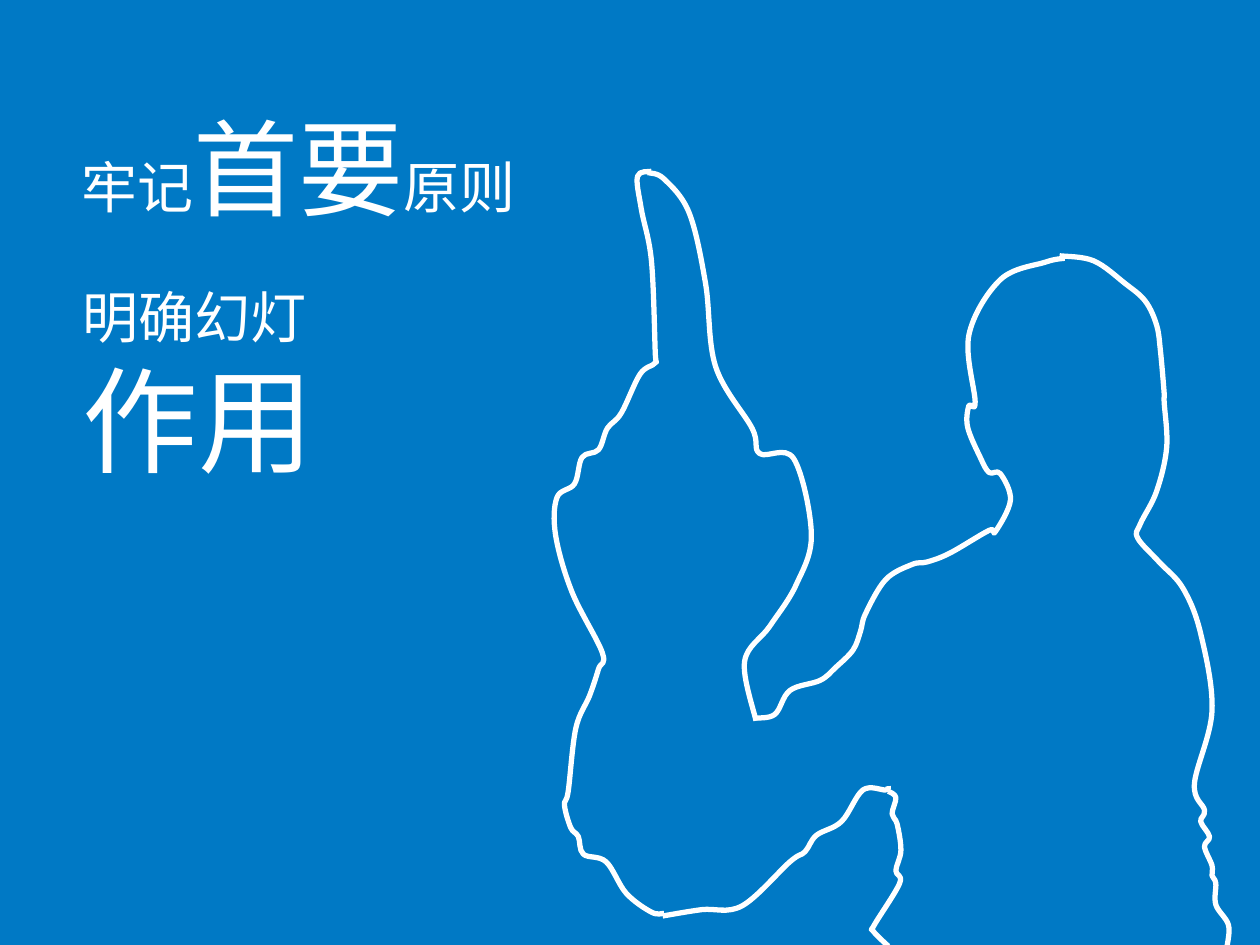
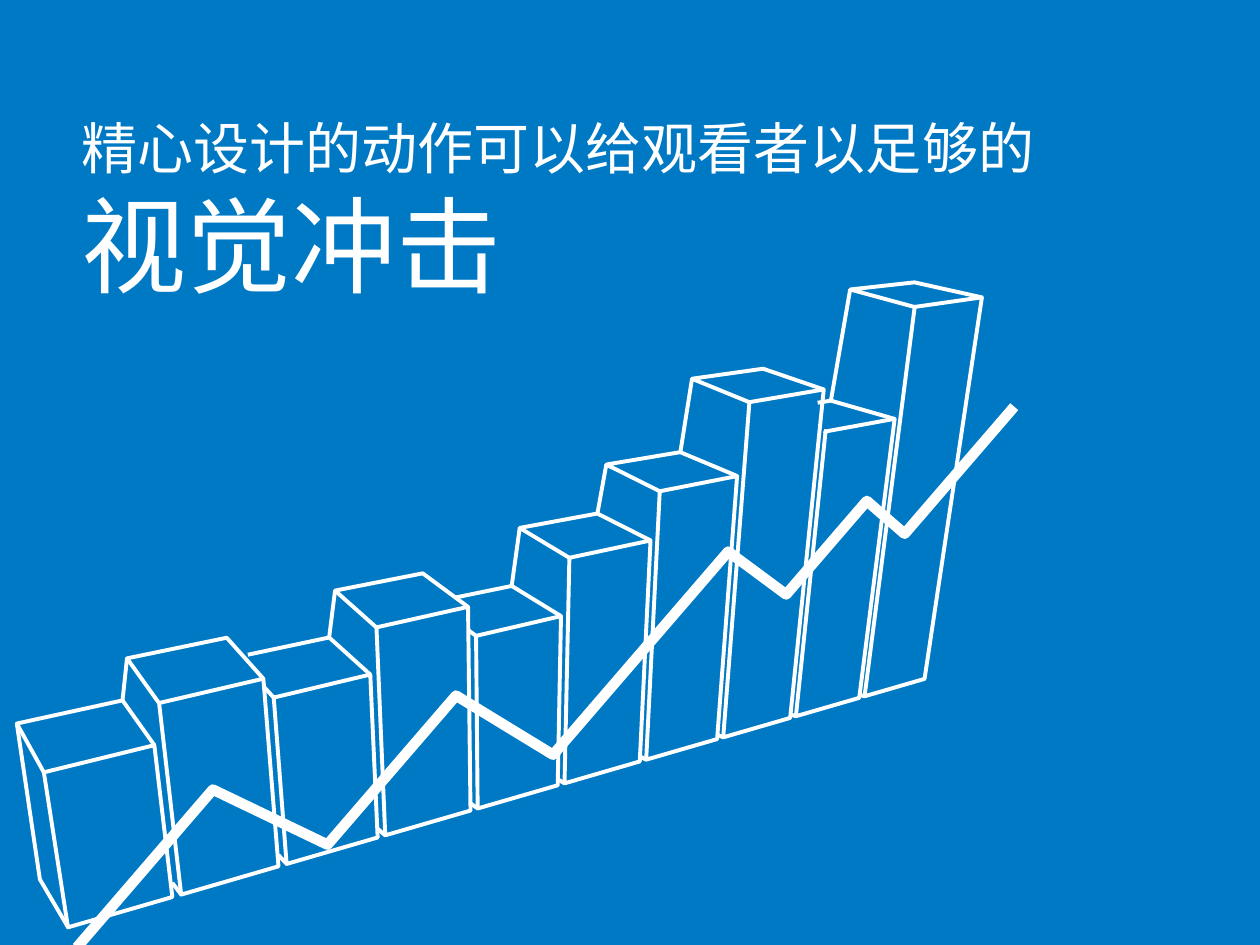
from dataclasses import dataclass

from lxml import etree
from pptx import Presentation
from pptx.dml.color import RGBColor
from pptx.enum.text import MSO_AUTO_SIZE
from pptx.oxml.ns import qn
from pptx.util import Inches, Pt

GROW = MSO_AUTO_SIZE.SHAPE_TO_FIT_TEXT


@dataclass(frozen=True)
class Theme:
    """Colours, type sizes and line widths of the deck."""
    back: RGBColor = RGBColor(0x00, 0x79, 0xC5)
    ink: RGBColor = RGBColor(0xFF, 0xFF, 0xFF)
    face: str = "Noto Sans CJK SC"
    small: int = 32
    large: int = 60
    huge: int = 66
    thin: float = 2.25
    mid: float = 3
    thick: float = 6


@dataclass(frozen=True)
class Box:
    """A region of the slide, in inches."""
    left: float
    top: float
    width: float
    height: float


@dataclass(frozen=True)
class Bar:
    """The corners of one bar as they appear in perspective."""
    foot: tuple
    toe: tuple
    left: tuple
    right: tuple
    rear: tuple
    inner: tuple


THEME = Theme()
PAGE = Box(0, 0, 10, 7.5)
BODY = Box(4, 1, 6, 6.5)

HEAD = [(4.41, 1.03), (4.68, 1.07), (4.93, 1.25), (5.09, 1.39),
        (5.18, 1.58), (5.21, 1.78), (5.24, 2.12), (5.24, 2.19)]
NAPE = [(5.26, 2.55), (5.18, 2.9), (5.05, 3.16), (5.03, 3.27)]
SPINE = [(5.2, 3.46), (5.39, 3.67), (5.53, 4.03), (5.62, 4.64), (5.48, 5.22)]
FOLDS = [(5.56, 5.43), (5.53, 5.52), (5.6, 5.64), (5.56, 5.72), (5.62, 5.87),
         (5.62, 5.95), (5.65, 6.01), (5.65, 6.18), (5.75, 6.34), (5.74, 6.51)]
BROW = [(4.45, 1.05), (4.3, 1.08), (3.94, 1.22), (3.69, 1.66), (3.74, 2.19)]
JAW = [(3.69, 2.22), (3.68, 2.39), (3.78, 2.63), (3.85, 2.75), (3.94, 2.76),
       (4.02, 2.97), (3.9, 3.22)]
SLEEVE = [(3.85, 3.21), (3.54, 3.39), (3.36, 3.46), (3.24, 3.48),
          (3.03, 3.6), (2.87, 3.87), (2.83, 4.01), (2.77, 4.16)]
CUFF = [(2.63, 4.3), (2.51, 4.4), (2.27, 4.48), (2.15, 4.67), (1.99, 4.7)]
PALM = [(2, 4.72), (1.91, 4.25), (2.11, 3.97), (2.32, 3.64), (2.44, 3.24),
        (2.3, 2.64), (2.03, 2.6)]
FINGER = [(1.97, 2.4), (1.68, 1.91), (1.6, 1.25), (1.47, 0.69),
          (1.27, 0.42), (1.14, 0.37)]
TIP = [(1.17, 0.36), (1.06, 0.4), (1.09, 0.66), (1.17, 1.07), (1.2, 1.79)]
FIST = [(1.2, 1.88), (1.08, 1.97), (0.93, 2.28), (0.82, 2.4), (0.75, 2.57),
        (0.62, 2.63), (0.56, 2.84), (0.42, 2.95), (0.41, 3.25)]
WRIST = [(0.54, 3.7), (0.78, 4.18), (0.75, 4.31), (0.68, 4.52),
         (0.57, 4.78), (0.51, 5.28)]
ELBOW = [(0.48, 5.39), (0.53, 5.57), (0.59, 5.64), (0.63, 5.78),
         (0.81, 5.84), (0.97, 6.09), (1.17, 6.24), (1.27, 6.25)]
ARM = [(1.26, 6.27), (1.57, 6.22), (1.89, 6.19), (2.27, 5.84), (2.39, 5.76),
       (2.48, 5.63), (2.68, 5.52), (2.85, 5.27), (3.03, 5.27), (3.05, 5.24)]
CHEST = [(3.05, 5.28), (3.11, 5.33), (3.08, 5.46), (3.12, 5.54), (3.15, 5.75),
         (3.11, 5.91), (3.14, 6.01), (2.94, 6.34), (2.93, 6.39), (3.05, 6.51)]
STROKES = [HEAD + NAPE + SPINE + FOLDS, BROW + JAW + SLEEVE + CUFF,
           PALM + FINGER, TIP + FIST + WRIST + ELBOW, ARM, CHEST]

RISES = [1.23, 1.52, 1.32, 1.65, 1.37, 1.79, 2.13, 2.66, 2.26, 3.09]
HIDDEN = {2: 0.12, 4: 0.31, 8: 0.8}
BASE = (0.54, 7.36)
BASE_SLOPE = -0.29
BAR_SHARE = 0.92
RIGHT_SHARE = 0.98
MIDDLE = 4
CLIMBS = [1.08, 1.02, 1.39, 0.64, 0.87]
DROPS = [0.91, 0.77, 0.46, 0.3]


def blend(a, b, share):
    """Return the point at a share of the way from a to b."""
    return tuple(p + (q - p) * share for p, q in zip(a, b))


def ground(place):
    """Return the base point of a bar number, closer together further back."""
    run = 0.93 * place / (1 + 0.036 * place)
    return BASE[0] + run, BASE[1] + BASE_SLOPE * run


def lift(point, rise):
    """Raise a base point, leaning away from the middle of the chart."""
    x, y = point
    return x + 0.045 * (x - MIDDLE) * rise, y - rise


def recede(point, share=1):
    """Move a point back by a share of the bar depth seen at its place."""
    x, y = point
    return x - (0.2 + 0.043 * x) * share, y - (0.4 - 0.036 * x) * share


def nook(point, wall):
    """Return the line that runs back from a point to the wall beside it."""
    gap = point[0] - wall[0]
    return [point, recede(point, gap / (point[0] - recede(point)[0]))]


def model(place, rise):
    """Work out the corners of one bar."""
    foot, toe = ground(place), ground(place + BAR_SHARE)
    left, right = lift(foot, rise), lift(toe, rise * RIGHT_SHARE)
    return Bar(foot, toe, left, right, recede(right), recede(left))


def zigzag(start):
    """Return the trend points: even climbs, with drops that grow steeper."""
    points = [start]
    for i, climb in enumerate(CLIMBS):
        x, y = points[-1]
        points.append((x + climb, y - 1.16 * climb))
        if i < len(DROPS):
            x, y = points[-1]
            points.append((x + DROPS[i], y + (0.48 + 0.13 * i) * DROPS[i]))
    return points


def trace(slide, box, points, width, close=False):
    """Draw an unfilled outline through points offset by the box."""
    spots = [(Inches(box.left + x), Inches(box.top + y)) for x, y in points]
    pen = slide.shapes.build_freeform(*spots[0], scale=1.0)
    pen.add_line_segments(spots[1:], close=close)
    shape = pen.convert_to_shape()
    shape.shadow.inherit = False
    shape.fill.background()
    shape.line.color.rgb = THEME.ink
    shape.line.width = Pt(width)
    return shape


def ease(knots):
    """Put two control points between knots, parallel to their neighbours."""
    ends = [knots[0], *knots, knots[-1]]
    points = [knots[0]]
    for a, b, c, d in zip(ends, ends[1:], ends[2:], ends[3:]):
        points += [(b[0] + (c[0] - a[0]) / 6, b[1] + (c[1] - a[1]) / 6),
                   (c[0] - (d[0] - b[0]) / 6, c[1] - (d[1] - b[1]) / 6), c]
    return points


def curve(slide, box, knots, width):
    """Draw a smooth curve by joining each three segments into a Bezier."""
    shape = trace(slide, box, ease(knots), width)
    track = next(shape.element.iter(qn("a:path")))
    steps = track.findall(qn("a:lnTo"))
    for i in range(0, len(steps), 3):
        bend = etree.SubElement(track, qn("a:cubicBezTo"))
        for step in steps[i:i + 3]:
            bend.append(step[0])
            track.remove(step)


def write(para, text, size=THEME.small, color=THEME.ink, face=THEME.face):
    """Add a run with its size, colour and typeface."""
    run = para.add_run()
    run.text = text
    run.font.size = Pt(size)
    run.font.color.rgb = color
    run.font.name = face


def title(slide, box, *lines):
    """Place a text box with one paragraph for each list of runs."""
    shape = slide.shapes.add_textbox(
        Inches(box.left), Inches(box.top),
        Inches(box.width), Inches(box.height))
    frame = shape.text_frame
    frame.word_wrap = True
    frame.auto_size = GROW
    for i, line in enumerate(lines):
        para = frame.add_paragraph() if i else frame.paragraphs[0]
        for text, size in line:
            write(para, text, size=size)
    for props in shape.element.iter(qn("a:rPr")):
        etree.SubElement(props, qn("a:ea")).set("typeface", THEME.face)


def start(deck):
    """Add a blank slide with the shared background."""
    slide = deck.slides.add_slide(deck.slide_layouts[6])
    slide.background.fill.solid()
    slide.background.fill.fore_color.rgb = THEME.back
    return slide


def person(slide, box):
    """Draw the outline of a person with a raised finger."""
    for knots in STROKES:
        curve(slide, box, knots, THEME.mid)


def edges(bar, last, hide):
    """List the edges seen behind a bar's front, given the bar before it."""
    if last is None:
        low = recede(bar.foot)
        return [[bar.left, bar.inner, bar.rear, bar.right],
                [bar.inner, low, bar.foot]]
    lines = [nook(bar.foot, last.toe)]
    if hide:
        lines += [[blend(bar.inner, bar.rear, hide), bar.rear, bar.right],
                  nook(bar.left, last.right)]
    else:
        lines += [[bar.left, bar.inner, bar.rear, bar.right],
                  [bar.inner, last.rear]]
    return lines


def chart(slide, box):
    """Draw the rising bars and the trend line across them."""
    last = None
    for place, rise in enumerate(RISES):
        bar = model(place, rise)
        front = [bar.foot, bar.toe, bar.right, bar.left]
        trace(slide, box, front, THEME.thin, close=True)
        for edge in edges(bar, last, HIDDEN.get(place)):
            trace(slide, box, edge, THEME.thin)
        last = bar
    trace(slide, box, zigzag((0.61, 7.52)), THEME.thick)


def rule(deck):
    """Build the slide on the first principle."""
    slide = start(deck)
    person(slide, BODY)
    title(slide, Box(0.55, 0.77, 3.67, 1.1),
          [("牢记", THEME.small), ("首要", THEME.large),
           ("原则", THEME.small)])
    title(slide, Box(0.56, 2.19, 4.06, 1.74),
          [("明确幻灯", THEME.small)], [("作用", THEME.huge)])


def impact(deck):
    """Build the slide on visual impact."""
    slide = start(deck)
    chart(slide, PAGE)
    title(slide, Box(0.55, 0.85, 7.89, 1.64),
          [("精心设计的动作可以给观看者以足够的", THEME.small),
           ("视觉冲击", THEME.large)])


def main():
    """Build and save the deck."""
    deck = Presentation()
    deck.slide_width = Inches(PAGE.width)
    deck.slide_height = Inches(PAGE.height)
    rule(deck)
    impact(deck)
    deck.save("out.pptx")


if __name__ == "__main__":
    main()
